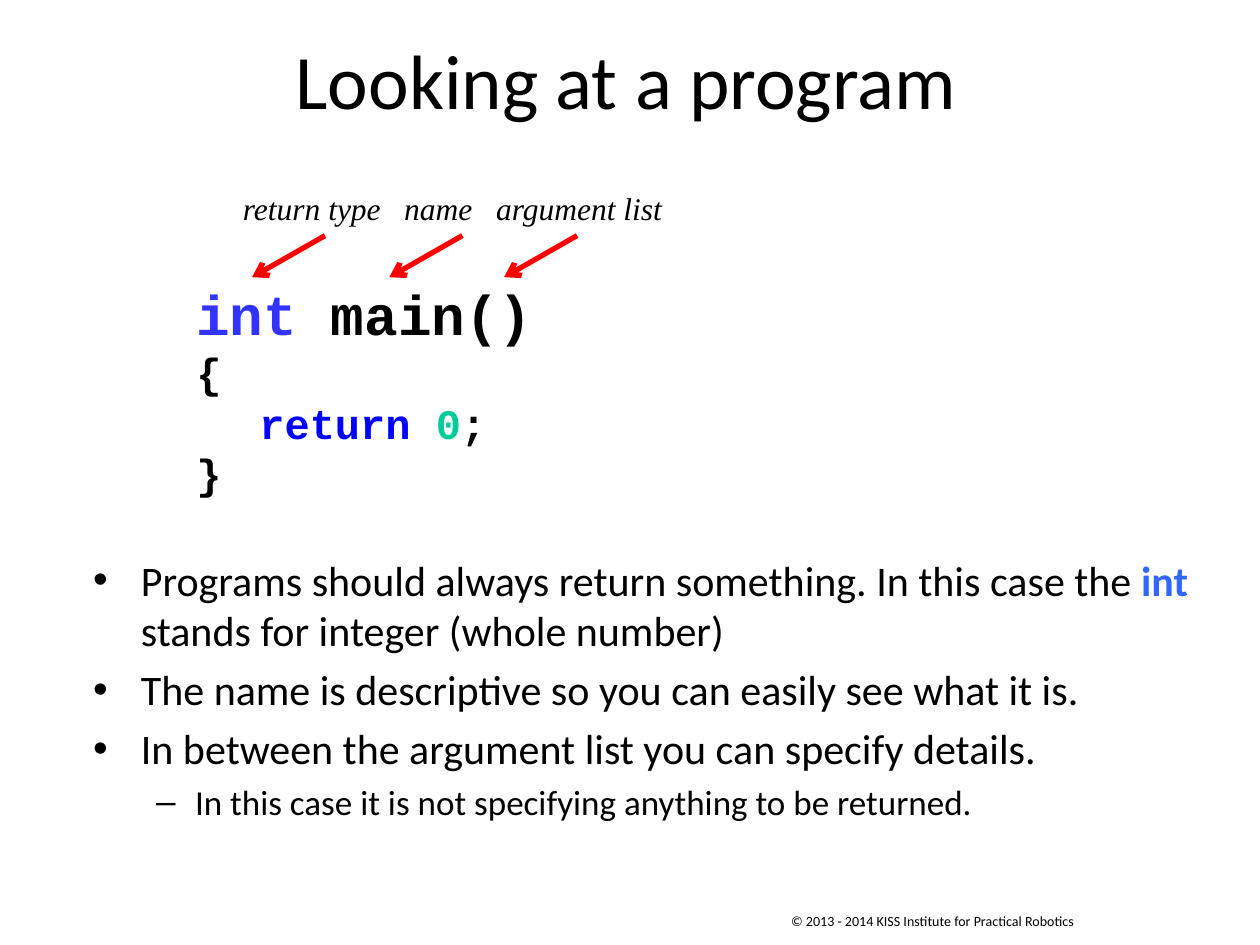
"""Build the slide that explains the parts of a small C program."""
from dataclasses import dataclass

import pptx
import pptx.dml.color
import pptx.enum.shapes
import pptx.enum.text
import pptx.oxml.ns
import pptx.util
from lxml import etree

BLACK = pptx.dml.color.RGBColor(0x00, 0x00, 0x00)
RED = pptx.dml.color.RGBColor(0xFF, 0x00, 0x00)
TYPE_BLUE = pptx.dml.color.RGBColor(0x33, 0x33, 0xFF)
KEYWORD_BLUE = pptx.dml.color.RGBColor(0x00, 0x00, 0xFF)
ACCENT_BLUE = pptx.dml.color.RGBColor(0x33, 0x66, 0xFF)
NUMBER_GREEN = pptx.dml.color.RGBColor(0x00, 0xCC, 0x99)

SLIDE_WIDTH = pptx.util.Inches(10)
SLIDE_HEIGHT = pptx.util.Inches(7.5)
COLUMNS, ROWS = 100, 75

ARROW_STARTS = (25.8, 36.7, 45.8)
ARROW_TOP, ARROW_BOTTOM, ARROW_RUN = 18.7, 22, 5.8


@dataclass(frozen=True)
class Style:
    """Font settings of a run."""
    font: str
    size: int
    color: pptx.dml.color.RGBColor = BLACK
    bold: bool = False
    italic: bool = False


@dataclass(frozen=True)
class Line:
    """One paragraph: its (text, style) runs and its layout in columns."""
    runs: tuple
    align: pptx.enum.text.PP_ALIGN = pptx.enum.text.PP_ALIGN.LEFT
    bullet: str = ""
    margin: float = 0
    hanging: float = 0
    space_before: int = 0
    tabs: tuple = ()


@dataclass(frozen=True)
class Box:
    """A text box placed in columns and rows."""
    left: float
    top: float
    width: float
    height: float
    lines: tuple
    anchor: pptx.enum.text.MSO_ANCHOR = pptx.enum.text.MSO_ANCHOR.TOP
    wrap: bool = True


def code(size: int, color: pptx.dml.color.RGBColor = BLACK) -> Style:
    """Return the bold style of program text."""
    return Style("Courier New", size, color, bold=True)


TITLE = Style("Calibri", 44)
BODY = Style("Calibri", 24)
BODY_KEYWORD = Style("Calibri", 24, ACCENT_BLUE, bold=True)
SUBPOINT = Style("Calibri", 20)
LABEL = Style("Times New Roman", 18, italic=True)
COPYRIGHT = Style("Calibri", 8)


def point(*runs: tuple, space_before: int = 5) -> Line:
    """Return a first-level bullet paragraph."""
    return Line(runs, bullet="•", margin=3.8, hanging=3.8, space_before=space_before)


BOXES = (
    Box(61.8, 71.9, 24.9, 2.4, (
        Line((("© 2013 - 2014 KISS Institute for Practical Robotics", COPYRIGHT),)),
    ), wrap=False),
    Box(4.7, 0, 90, 12.5, (
        Line((("Looking at a program", TITLE),), align=pptx.enum.text.PP_ALIGN.CENTER),
    ), anchor=pptx.enum.text.MSO_ANCHOR.MIDDLE),
    Box(6.4, 43.5, 90, 22.8, (
        point(("Programs should always return something. In this case the ", BODY),
              ("int ", BODY_KEYWORD),
              ("stands for integer (whole number)", BODY), space_before=0),
        point(("The name is descriptive so you can easily see what it is.", BODY)),
        point(("In between the argument list you can specify details.", BODY)),
        Line((("In this case it is not specifying anything to be returned.", SUBPOINT),),
             bullet="–", margin=8.1, hanging=3.1, space_before=4),
    )),
    Box(14.6, 21.7, 74.5, 18.5, (
        Line((("int ", code(32, TYPE_BLUE)), ("main()", code(32)))),
        Line((("{", code(24)),)),
        Line((("\treturn ", code(24, KEYWORD_BLUE)), ("0", code(24, NUMBER_GREEN)),
              (";", code(24))), tabs=(5,)),
        Line((("}", code(24)),)),
    )),
    Box(18.3, 14.5, 46.7, 4.4, (
        Line((("return type\tname\targument list", LABEL),), tabs=(12.8, 20.1)),
    )),
)


def across(columns: float) -> int:
    """Convert columns to a length."""
    return round(SLIDE_WIDTH * columns / COLUMNS)


def down(rows: float) -> int:
    """Convert rows to a length."""
    return round(SLIDE_HEIGHT * rows / ROWS)


def add_element(parent: etree._Element, tag: str, **attributes: str) -> etree._Element:
    """Append a DrawingML element to its parent."""
    return etree.SubElement(parent, pptx.oxml.ns.qn(tag), attributes)


def fill_paragraph(paragraph: pptx.text.text._Paragraph, line: Line) -> None:
    """Lay out a paragraph and add its runs."""
    properties = paragraph._p.get_or_add_pPr()
    if line.bullet:
        properties.set("marL", str(across(line.margin)))
        properties.set("indent", str(-across(line.hanging)))
        add_element(properties, "a:buFont", typeface="Arial")
        add_element(properties, "a:buChar", char=line.bullet)
    if line.tabs:
        tab_list = add_element(properties, "a:tabLst")
        for position in line.tabs:
            add_element(tab_list, "a:tab", pos=str(across(position)), algn="l")
    paragraph.alignment = line.align
    paragraph.space_before = pptx.util.Pt(line.space_before)
    for text, style in line.runs:
        run = paragraph.add_run()
        run.text = text
        run.font.name = style.font
        run.font.size = pptx.util.Pt(style.size)
        run.font.bold = style.bold
        run.font.italic = style.italic
        run.font.color.rgb = style.color


def draw_box(slide: pptx.slide.Slide, box: Box) -> None:
    """Add a text box with its paragraphs."""
    shape = slide.shapes.add_textbox(
        across(box.left), down(box.top), across(box.width), down(box.height))
    frame = shape.text_frame
    frame.word_wrap = box.wrap
    frame.vertical_anchor = box.anchor
    for index, line in enumerate(box.lines):
        paragraph = frame.add_paragraph() if index else frame.paragraphs[0]
        fill_paragraph(paragraph, line)


def draw_arrow(slide: pptx.slide.Slide, start: float) -> None:
    """Add a red arrow from a label down to the code."""
    connector = slide.shapes.add_connector(
        pptx.enum.shapes.MSO_CONNECTOR.STRAIGHT,
        across(start), down(ARROW_TOP), across(start - ARROW_RUN), down(ARROW_BOTTOM))
    connector.line.color.rgb = RED
    connector.line.width = pptx.util.Pt(3)
    add_element(connector.line._get_or_add_ln(), "a:tailEnd", type="arrow")
    add_element(connector._element.spPr, "a:effectLst")


def main() -> None:
    """Build and save the presentation."""
    presentation = pptx.Presentation()
    presentation.slide_width = SLIDE_WIDTH
    presentation.slide_height = SLIDE_HEIGHT
    slide = presentation.slides.add_slide(presentation.slide_layouts[6])
    for box in BOXES:
        draw_box(slide, box)
    for start in ARROW_STARTS:
        draw_arrow(slide, start)
    presentation.save("out.pptx")


if __name__ == "__main__":
    main()
